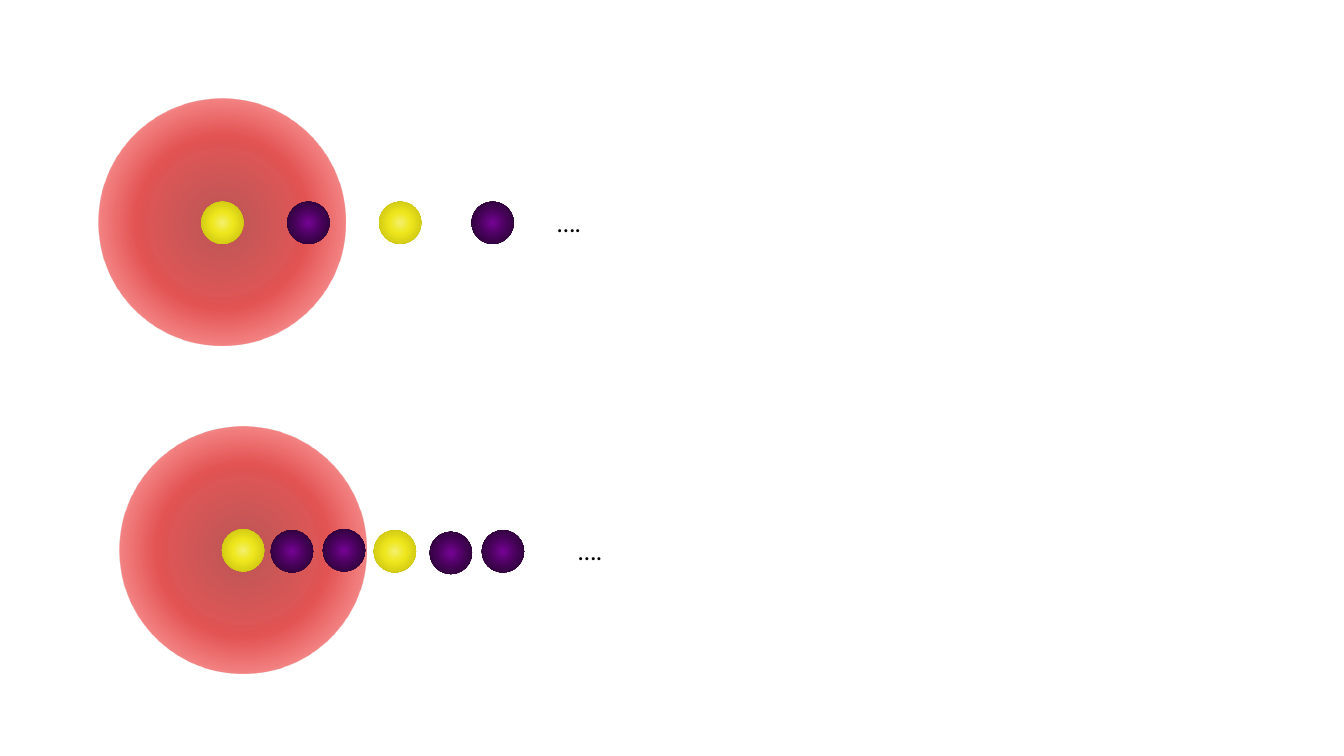
import pptx
import pptx.dml.color
import pptx.enum.shapes
import pptx.enum.text
import pptx.oxml.ns
import pptx.util
from lxml import etree

Pt = pptx.util.Pt
qn = pptx.oxml.ns.qn

# Gradient stops from centre to rim: position %, colour, opacity %
HALO = [(0, "970000", 66), (50, "D70000", 67), (100, "FF0000", 22)]
YELLOW = [(0, "F4F06E", 100), (36, "EEE71D", 100), (100, "BDB70E", 100)]
PURPLE = [(0, "760395", 100), (50, "440256", 100), (100, "1D0124", 100)]
HALO_SIZE = 176.4
BALL_SIZE = 30.25


def add_ball(page, left, top, size, stops):
    """Add a borderless circle with a radial gradient."""
    ball = page.shapes.add_shape(
        pptx.enum.shapes.MSO_SHAPE.OVAL, Pt(left), Pt(top), Pt(size), Pt(size))
    ball.shadow.inherit = False
    ball.line.fill.background()
    ball.fill.gradient()
    gradient = ball.element.spPr.find(qn("a:gradFill"))
    for child in list(gradient):
        gradient.remove(child)
    stop_list = etree.SubElement(gradient, qn("a:gsLst"))
    for position, color, opacity in stops:
        stop = etree.SubElement(stop_list, qn("a:gs"), pos=str(position * 1000))
        tint = etree.SubElement(stop, qn("a:srgbClr"), val=color)
        if opacity < 100:
            etree.SubElement(tint, qn("a:alpha"), val=str(opacity * 1000))
    radial = etree.SubElement(gradient, qn("a:path"), path="circle")
    etree.SubElement(radial, qn("a:fillToRect"),
                     l="50000", t="50000", r="50000", b="50000")


def add_text(page, text, *, left, top, width, height, size, font, color):
    box = page.shapes.add_textbox(Pt(left), Pt(top), Pt(width), Pt(height))
    frame = box.text_frame
    frame.word_wrap = False
    frame.auto_size = pptx.enum.text.MSO_AUTO_SIZE.SHAPE_TO_FIT_TEXT
    span = frame.paragraphs[0].add_run()
    span.text = text
    span.font.size = Pt(size)
    span.font.name = font
    span.font.color.rgb = pptx.dml.color.RGBColor.from_string(color)


deck = pptx.Presentation()
deck.slide_width, deck.slide_height = Pt(960), Pt(540)
page = deck.slides.add_slide(deck.slide_layouts[6])

# Each chain: halo corner, balls (left, top, stops), left and top of the dots
chains = [
    (70.5, 70.5,
     [(143.75, 144, YELLOW), (270.75, 144, YELLOW),
      (205.2, 144, PURPLE), (336.75, 144, PURPLE)],
     391, 144.7),
    (85.5, 304.75,
     [(158.5, 378, YELLOW), (266.9, 378.7, YELLOW), (193.4, 378.7, PURPLE),
      (230.6, 378, PURPLE), (306.9, 379.8, PURPLE), (344.1, 378.7, PURPLE)],
     406.1, 378.9),
]

for halo_left, halo_top, balls, dots_left, dots_top in chains:
    add_ball(page, halo_left, halo_top, HALO_SIZE, HALO)
    for left, top, stops in balls:
        add_ball(page, left, top, BALL_SIZE, stops)
    add_text(page, "….", left=dots_left, top=dots_top, width=31.7, height=29,
             size=18, font="Calibri", color="000000")

deck.save("out.pptx")
